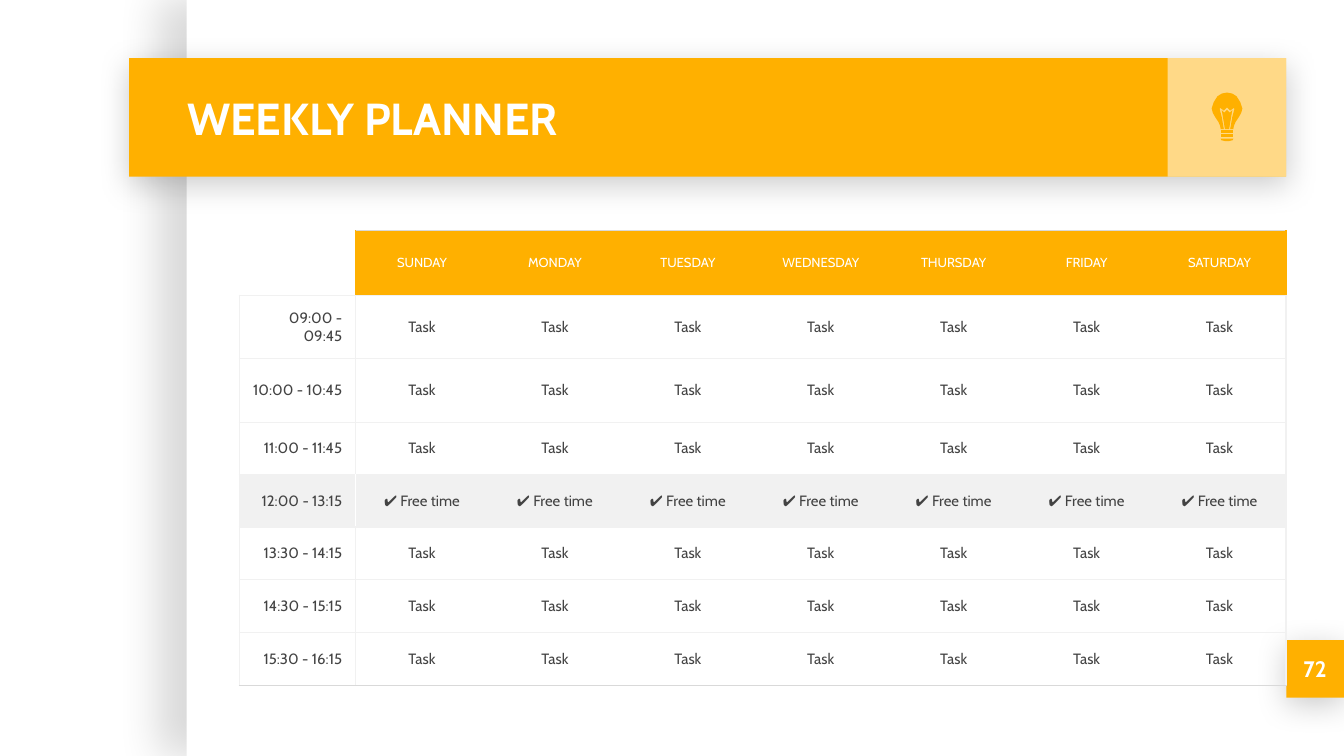
from lxml.etree import SubElement
from pptx import Presentation
from pptx.dml.color import RGBColor
from pptx.enum.shapes import MSO_SHAPE
from pptx.enum.text import MSO_ANCHOR, MSO_AUTO_SIZE, PP_ALIGN
from pptx.oxml import parse_xml
from pptx.oxml.ns import nsdecls, qn
from pptx.util import Cm, Pt

TITLE = "WEEKLY PLANNER"
PAGE_NUMBER = "72"
DAYS = ["SUNDAY", "MONDAY", "TUESDAY", "WEDNESDAY", "THURSDAY", "FRIDAY", "SATURDAY"]
SLOTS = [
    ("09:00 - 09:45", "Task"),
    ("10:00 - 10:45", "Task"),
    ("11:00 - 11:45", "Task"),
    ("12:00 - 13:15", "✔ Free time"),
    ("13:30 - 14:15", "Task"),
    ("14:30 - 15:15", "Task"),
    ("15:30 - 16:15", "Task"),
]

FONT = "Cabin"
AMBER = RGBColor(0xFF, 0xB0, 0x00)
WHITE = RGBColor(0xFF, 0xFF, 0xFF)
INK = RGBColor(0x43, 0x43, 0x43)
PALE = RGBColor(0xF1, 0xF1, 0xF1)
RULE = RGBColor(0xD9, 0xD9, 0xD9)

SLIDE_WIDTH, SLIDE_HEIGHT = 25.4, 14.29
PANEL_LEFT = 3.53
BANNER_LEFT, BANNER_TOP, BANNER_SIDE = 2.44, 1.1, 2.24
CONTENT_RIGHT = 24.31
TAB_TOP, TAB_SIDE = 12.1, 1.09
INSET = Cm(0.25)

PLANNER_LEFT, PLANNER_TOP = 4.52, 4.36
TIME_WIDTH = 2.2
DAY_WIDTH = (CONTENT_RIGHT - PLANNER_LEFT - TIME_WIDTH) / len(DAYS)
ROW_HEIGHTS = [1.22, 1.2, 1.2] + [0.99] * 3 + [1.0] * 2

BULB_AXIS = 2319
BULB_HALVES = [
    [(0, 175), (10, 177), (18, 182), (25, 193), (29, 205),
     (27, 213), (22, 222), (16, 231), (13, 238), (12, 244),
     (6, 244), (10, 221), (14, 206), (13, 204), (6, 209), (0, 203)],
    [(0, 208), (5, 213), (10, 208), (4, 244)],
    [(12, 246), (12, 251)],
    [(12, 254), (12, 259)],
    [(12, 262), (11, 265), (3, 267)],
]


def add_block(slide, left, top, width, height, color):
    block = slide.shapes.add_shape(
        MSO_SHAPE.RECTANGLE, Cm(left), Cm(top), Cm(width), Cm(height))
    block.shadow.inherit = False
    block.fill.solid()
    block.fill.fore_color.rgb = color
    block.line.fill.background()
    return block


def cast_shadow(block, opacity, blur, distance, angle):
    effects = block.element.spPr.find(qn("a:effectLst"))
    effects.append(parse_xml(
        f'<a:outerShdw {nsdecls("a")} blurRad="{Pt(blur)}" dist="{Pt(distance)}" '
        f'dir="{angle * 60000}" algn="bl" rotWithShape="0"><a:srgbClr val="000000">'
        f'<a:alpha val="{opacity * 1000}"/></a:srgbClr></a:outerShdw>'))


def write(frame, text, size, color, align, bold=False):
    paragraph = frame.paragraphs[0]
    paragraph.alignment = align
    run = paragraph.add_run()
    run.text = text
    run.font.name = FONT
    run.font.size = Pt(size)
    run.font.bold = bold
    run.font.color.rgb = color


def set_insets(holder):
    holder.margin_left = holder.margin_right = INSET
    holder.margin_top = holder.margin_bottom = INSET
    holder.vertical_anchor = MSO_ANCHOR.MIDDLE


def set_borders(cell, left, right, top, bottom):
    properties = cell._tc.get_or_add_tcPr()
    edges = zip(("lnL", "lnR", "lnT", "lnB"), (left, right, top, bottom))
    for position, (tag, color) in enumerate(edges):
        edge = SubElement(properties, qn(f"a:{tag}"), w=str(Pt(0.75)))
        if color is None:
            SubElement(edge, qn("a:noFill"))
        else:
            fill = SubElement(edge, qn("a:solidFill"))
            SubElement(fill, qn("a:srgbClr"), val=str(color))
        properties.insert(position, edge)


def fill_cell(cell, text, size, ink, align, background):
    if text:
        set_insets(cell)
        write(cell.text_frame, text, size, ink, align)
    if background is None:
        cell.fill.background()
    else:
        cell.fill.solid()
        cell.fill.fore_color.rgb = background


def add_planner(slide):
    rows = [("", *DAYS)] + [(time, *[entry] * len(DAYS)) for time, entry in SLOTS]
    last_row, last_column = len(rows) - 1, len(DAYS)
    planner = slide.shapes.add_table(
        len(rows), last_column + 1, Cm(PLANNER_LEFT), Cm(PLANNER_TOP),
        Cm(CONTENT_RIGHT - PLANNER_LEFT), Cm(sum(ROW_HEIGHTS))).table
    planner.first_row = planner.horz_banding = False
    for column_index, column in enumerate(planner.columns):
        column.width = Cm(DAY_WIDTH if column_index else TIME_WIDTH)
    for r, texts in enumerate(rows):
        planner.rows[r].height = Cm(ROW_HEIGHTS[r])
        header = r == 0
        free = "Free time" in texts[-1]
        side = AMBER if header else PALE
        divider = AMBER if header else WHITE if free else PALE
        for c, text in enumerate(texts):
            corner = header and c == 0
            cell = planner.cell(r, c)
            background = PALE if free else AMBER if header and not corner else None
            fill_cell(cell, text, 7 if header else 8, WHITE if header else INK,
                      PP_ALIGN.CENTER if c else PP_ALIGN.RIGHT, background)
            left = {0: None if corner else side, 1: divider}.get(c)
            right = {0: divider, last_column: side}.get(c)
            top = None if corner else RULE if header else PALE
            bottom = RULE if r == last_row else PALE
            set_borders(cell, left, right, top, bottom)


def add_bulb(slide):
    bulb = slide.shapes.add_group_shape()
    for half in BULB_HALVES:
        outline = half + [(-offset, height) for offset, height in reversed(half)]
        points = [(BULB_AXIS + offset, height) for offset, height in outline]
        builder = bulb.shapes.build_freeform(*points[0], scale=Cm(0.01))
        builder.add_line_segments(points[1:], close=True)
        part = builder.convert_to_shape()
        part.shadow.inherit = False
        part.fill.solid()
        part.fill.fore_color.rgb = AMBER
        part.line.fill.background()


def main():
    deck = Presentation()
    deck.slide_width, deck.slide_height = Cm(SLIDE_WIDTH), Cm(SLIDE_HEIGHT)
    slide = deck.slides.add_slide(deck.slide_layouts[5])

    panel = add_block(slide, PANEL_LEFT, 0, SLIDE_WIDTH - PANEL_LEFT, SLIDE_HEIGHT, WHITE)
    cast_shadow(panel, 15, 22.5, 15, 180)
    banner = add_block(slide, BANNER_LEFT, BANNER_TOP,
                       CONTENT_RIGHT - BANNER_LEFT, BANNER_SIDE, AMBER)
    cast_shadow(banner, 20, 16.9, 3.8, 90)
    icon_tile = add_block(slide, CONTENT_RIGHT - BANNER_SIDE, BANNER_TOP,
                          BANNER_SIDE, BANNER_SIDE, WHITE)
    tile_color = icon_tile.fill._xPr.find(qn("a:solidFill"))[0]
    SubElement(tile_color, qn("a:alpha"), val="53000")

    title = slide.shapes.title
    title.left, title.top = Cm(3.29), Cm(BANNER_TOP)
    title.width, title.height = Cm(18.72), Cm(BANNER_SIDE)
    title.text_frame.auto_size = MSO_AUTO_SIZE.NONE
    set_insets(title.text_frame)
    write(title.text_frame, TITLE, 24, WHITE, PP_ALIGN.LEFT, bold=True)
    icon_tile.element.addnext(title.element)

    page_tab = add_block(slide, CONTENT_RIGHT, TAB_TOP, TAB_SIDE, TAB_SIDE, AMBER)
    cast_shadow(page_tab, 20, 16.9, 3.8, 90)
    set_insets(page_tab.text_frame)
    write(page_tab.text_frame, PAGE_NUMBER, 12, WHITE, PP_ALIGN.CENTER, bold=True)

    add_planner(slide)
    add_bulb(slide)
    deck.save("out.pptx")


if __name__ == "__main__":
    main()
